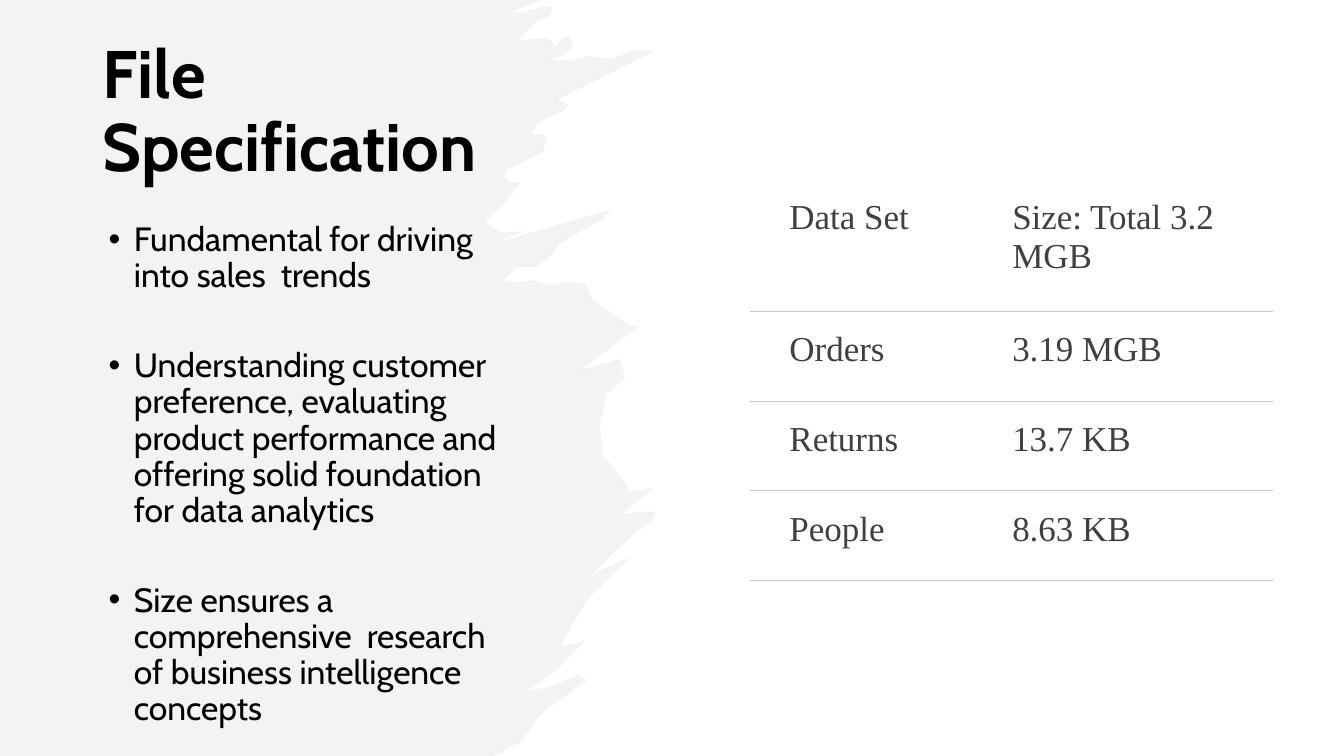
from dataclasses import dataclass

from lxml import etree
from pptx import Presentation
from pptx.dml.color import RGBColor
from pptx.enum.text import MSO_ANCHOR, MSO_AUTO_SIZE, PP_ALIGN
from pptx.oxml.ns import qn
from pptx.util import Inches, Pt

LEFT, MIDDLE, NO_FIT = PP_ALIGN.LEFT, MSO_ANCHOR.MIDDLE, MSO_AUTO_SIZE.NONE
TITLE_ONLY = 5


@dataclass(frozen=True)
class Theme:
    text: str = "000000"
    table_text: str = "404040"
    rule: str = "C7C6C1"
    brush: str = "E8E8E8"
    font: str = "Cabin"
    table_font: str = "Times New Roman"
    title_size: int = 48
    body_size: int = 24
    table_size: int = 25
    rule_width: float = 0.75


THEME = Theme()

BULLETS = [
    "Fundamental for driving into sales  trends",
    "Understanding customer preference, evaluating product performance "
    "and offering solid foundation for data analytics",
    "Size ensures a comprehensive  research of business intelligence concepts",
]
FILES = [
    ("Data Set", "Size: Total 3.2 MGB"),
    ("Orders", "3.19 MGB"),
    ("Returns", "13.7 KB"),
    ("People", "8.63 KB"),
]
# Ragged right edge of the brush stroke, from bottom to top, in inches
BRUSH_EDGE = [
    (4.91, 7.5), (4.97, 7.46), (5.17, 7.36), (5.34, 7.11), (5.41, 7.04), (5.55, 6.95),
    (5.82, 6.75), (5.72, 6.7), (5.44, 6.82), (5.24, 6.85), (5.53, 6.64), (5.8, 6.36),
    (5.59, 6.41), (5.58, 6.38), (5.76, 6.05), (5.85, 5.92), (6.26, 5.52), (5.87, 5.7),
    (6.27, 5.31), (6.47, 5.17), (6.51, 5.09), (6.43, 5.07), (6.17, 5.1), (6.49, 4.84),
    (6.25, 4.88), (6.18, 4.77), (6.06, 4.61), (5.98, 4.52), (5.95, 4.23), (6.02, 3.91),
    (6.2, 3.75), (6.15, 3.56), (5.76, 3.67), (6.34, 3.24), (6.24, 3.23), (5.89, 2.98),
    (5.87, 2.97), (5.81, 2.82), (5.62, 2.79), (5.46, 2.83), (5.29, 2.78), (5.13, 2.8),
    (5, 2.78), (5.13, 2.65), (5.31, 2.65), (5.44, 2.56), (5.56, 2.41), (5.98, 2.17),
    (6.06, 2.08), (4.85, 2.43), (5.22, 2.29), (4.97, 2.31), (4.83, 2.22), (4.83, 2.18),
    (4.93, 2.09), (4.99, 2.03), (5.16, 1.82), (5.04, 1.8), (5, 1.75), (5.03, 1.69),
    (5.39, 1.5), (5.42, 1.35), (5.35, 1.33), (5.27, 1.34), (5.34, 1.22), (5.59, 1.1),
    (5.64, 1.04), (5.58, 1.01), (5.53, 0.99), (6.51, 0.5), (6.29, 0.5), (6.07, 0.58),
    (5.84, 0.56), (5.62, 0.6), (5.43, 0.6), (5.61, 0.54), (5.68, 0.45), (5.65, 0.36),
    (5.58, 0.38), (5.49, 0.49), (5.48, 0.42), (5.42, 0.38), (5.13, 0.4), (5.33, 0.2),
    (5.45, 0.17), (5.48, 0.08), (5.42, 0.06), (5.13, 0.13), (5.09, 0.11), (5.25, 0.05),
    (5.38, 0),
]


def style(p, size, color, font, bold=False):
    for r in p.runs:
        r.font.size = Pt(size)
        r.font.name = font
        r.font.bold = bold
        r.font.color.rgb = RGBColor.from_string(color)


def place(sp, box):
    sp.left, sp.top, sp.width, sp.height = (Inches(v) for v in box)


def add_brush(slide, box):
    left, top, _, height = box
    outline = [(0, 0), (0, height), *BRUSH_EDGE]
    points = [(Inches(left + x), Inches(top + y)) for x, y in outline]
    builder = slide.shapes.build_freeform(*points[0])
    builder.add_line_segments(points[1:], close=True)
    sp = builder.convert_to_shape()
    sp.shadow.inherit = False
    sp.line.fill.background()
    sp.fill.solid()
    sp.fill.fore_color.rgb = RGBColor.from_string(THEME.brush)
    color = sp._element.spPr.find(qn("a:solidFill"))[0]
    etree.SubElement(color, qn("a:alpha"), val="50000")
    slide.shapes._spTree.insert(2, sp._element)  # behind the title


def add_title(slide, box):
    title = slide.shapes.title
    place(title, box)
    tf = title.text_frame
    tf.text = "File Specification"
    tf.word_wrap = True
    tf.auto_size = NO_FIT
    tf.vertical_anchor = MIDDLE
    p = tf.paragraphs[0]
    p.alignment = LEFT
    p.line_spacing = 0.9
    style(p, THEME.title_size, THEME.text, THEME.font, bold=True)


def add_bullets(slide, box):
    tf = slide.shapes.add_textbox(*(Inches(v) for v in box)).text_frame
    tf.word_wrap = True
    tf.text = "\n".join(BULLETS)
    for p in tf.paragraphs:
        p.line_spacing = 0.9
        p.space_after = Pt(38)
        style(p, THEME.body_size, THEME.text, THEME.font)
        pPr = p._p.get_or_add_pPr()
        pPr.set("marL", str(Inches(0.31)))
        pPr.set("indent", str(Inches(-0.25)))
        etree.SubElement(pPr, qn("a:buFont"), typeface="Arial")
        etree.SubElement(pPr, qn("a:buChar"), char="•")


def set_borders(cell, ruled_sides):
    tcPr = cell._tc.get_or_add_tcPr()
    for side in ("lnL", "lnR", "lnT", "lnB"):
        ln = etree.SubElement(tcPr, qn(f"a:{side}"), w=str(Pt(THEME.rule_width)))
        if side in ruled_sides:
            fill = etree.SubElement(ln, qn("a:solidFill"))
            etree.SubElement(fill, qn("a:srgbClr"), val=THEME.rule)
        else:
            etree.SubElement(ln, qn("a:noFill"))


def add_file_table(slide, box):
    table = slide.shapes.add_table(
        len(FILES), 2, *(Inches(v) for v in box)).table
    table.first_row = table.horz_banding = False
    _, _, width, height = box
    first_width, row_height = 2.21, 0.89
    table.columns[0].width = Inches(first_width)
    table.columns[1].width = Inches(width - first_width)
    for i, values in enumerate(FILES):
        table.rows[i].height = Inches(
            row_height if i else height - row_height * (len(FILES) - 1))
        for cell, value in zip(table.rows[i].cells, values):
            cell.text = value
            cell.margin_left, cell.margin_right = Inches(0.39), Inches(0.29)
            cell.margin_top = cell.margin_bottom = Inches(0.19)
            style(cell.text_frame.paragraphs[0], THEME.table_size,
                  THEME.table_text, THEME.table_font)
            set_borders(cell, ("lnT", "lnB") if i else ("lnB",))
            cell.fill.background()


def main():
    prs = Presentation()
    prs.slide_width, prs.slide_height = Inches(13.33), Inches(7.5)
    slide = prs.slides.add_slide(prs.slide_layouts[TITLE_ONLY])
    add_brush(slide, (0, 0, 6.52, 7.5))
    add_title(slide, (0.92, 0.47, 4.25, 1.31))
    add_bullets(slide, (0.92, 2.16, 4.25, 5.21))
    add_file_table(slide, (7.44, 1.78, 5.19, 3.98))
    prs.save("out.pptx")


if __name__ == "__main__":
    main()
